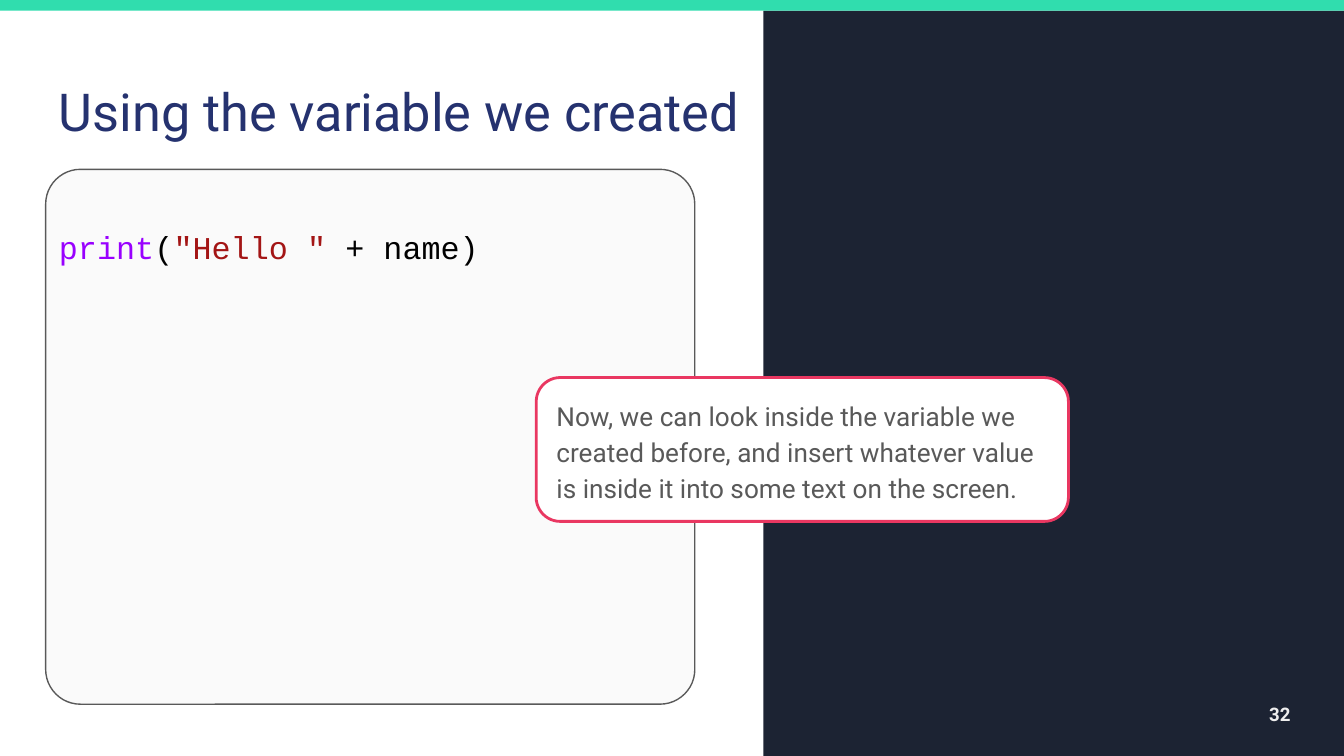
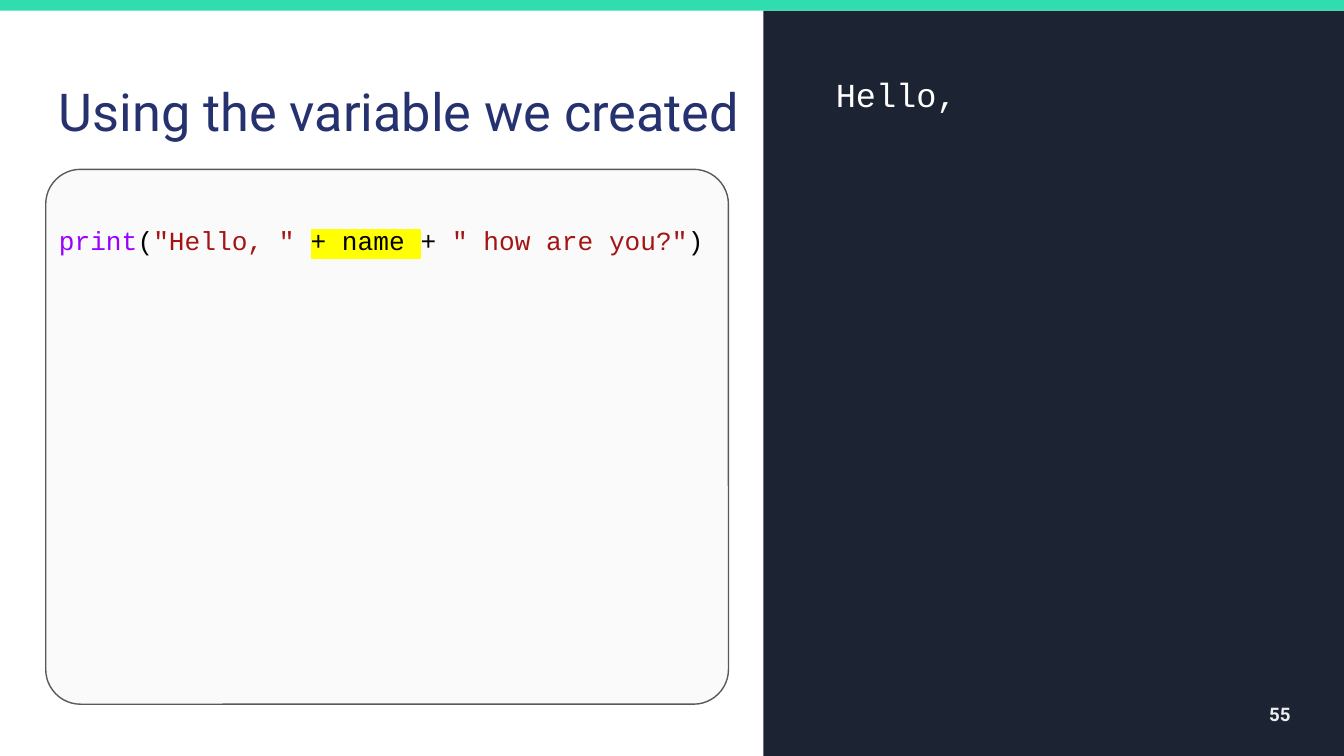
from lxml.etree import SubElement
from pptx import Presentation
from pptx.dml.color import RGBColor
from pptx.enum.shapes import MSO_SHAPE as SHAPE
from pptx.enum.text import MSO_ANCHOR as ANCHOR, PP_ALIGN as ALIGN
from pptx.oxml.ns import qn
from pptx.util import Inches, Pt

WHITE = RGBColor(0xFF, 0xFF, 0xFF)
BLACK = RGBColor(0x00, 0x00, 0x00)
NAVY = RGBColor(0x25, 0x32, 0x6F)
CONSOLE = RGBColor(0x1C, 0x23, 0x33)
MINT = RGBColor(0x30, 0xDD, 0xAE)
PALE = RGBColor(0xFA, 0xFA, 0xFA)
GREY = RGBColor(0x59, 0x59, 0x59)
LIGHT = RGBColor(0xEE, 0xEE, 0xEE)
PINK = RGBColor(0xE9, 0x37, 0x61)
PURPLE = RGBColor(0x99, 0x00, 0xFF)
STRING_RED = RGBColor(0xA3, 0x15, 0x15)
YELLOW = RGBColor(0xFF, 0xFF, 0x00)
SANS, MONO = "Roboto", "Courier New"
TITLE = "Using the variable we created"


def add_block(slide, box, fill, line=None, width=0.75, radius=None):
    """Add a flat rectangle, rounded when a radius is given."""
    kind = SHAPE.RECTANGLE if radius is None else SHAPE.ROUNDED_RECTANGLE
    block = slide.shapes.add_shape(kind, *map(Inches, box))
    block.shadow.inherit = False
    block.fill.solid()
    block.fill.fore_color.rgb = fill
    if radius is not None:
        block.adjustments[0] = radius
    if line is None:
        block.line.fill.background()
    else:
        block.line.color.rgb = line
        block.line.width = Pt(width)
    return block


def highlight(run, color):
    """Mark a coloured run with a background colour."""
    fill = run.font.fill._xPr.find(qn("a:solidFill"))
    mark = fill.makeelement(qn("a:highlight"), {})
    SubElement(mark, qn("a:srgbClr"), val=str(color))
    fill.addnext(mark)


def write(holder, parts, size, font, anchor=ANCHOR.TOP, align=ALIGN.LEFT, bold=False, top=0.1):
    """Fill a shape with one paragraph of (text, colour, highlight) parts."""
    frame = holder.text_frame
    frame.word_wrap = True
    frame.vertical_anchor = anchor
    frame.margin_left = frame.margin_right = frame.margin_bottom = Inches(0.1)
    frame.margin_top = Inches(top)
    paragraph = frame.paragraphs[0]
    paragraph.alignment = align
    for text, color, *mark in parts:
        run = paragraph.add_run()
        run.text = text
        run.font.size = Pt(size)
        run.font.name = font
        run.font.bold = bold
        run.font.color.rgb = color
        if mark:
            highlight(run, mark[0])
    return paragraph


def add_text(slide, box, parts, size, font, **style):
    """Add a wrapped text box."""
    return write(slide.shapes.add_textbox(*map(Inches, box)), parts, size, font, **style)


def add_base(deck, number):
    """Add a slide with the console panel, title, top band and page number."""
    slide = deck.slides.add_slide(deck.slide_layouts[6])
    slide.background.fill.solid()
    slide.background.fill.fore_color.rgb = WHITE
    add_block(slide, (5.68, 0.08, 4.33, 5.56), CONSOLE)
    add_text(slide, (0.34, 0.49, 5.34, 0.63), [(TITLE, NAVY)], 28, SANS)
    add_block(slide, (-0.01, 0, 10.02, 0.08), MINT)
    add_text(slide, (9.1, 5.1, 0.6, 0.43), [(number, LIGHT)], 10, SANS,
             anchor=ANCHOR.MIDDLE, align=ALIGN.RIGHT, bold=True)
    return slide


def add_code(slide, card_width, text_width, parts, size):
    """Add the code card with its line of code."""
    add_block(slide, (0.34, 1.26, card_width, 3.98), PALE, GREY, radius=0.065)
    add_text(slide, (0.34, 1.26, text_width, 3.97), parts, size, MONO, top=0.69)


def add_callout(slide, box, text):
    """Add a bordered explanation bubble."""
    callout = add_block(slide, box, WHITE, PINK, 1.5, 0.167)
    write(callout, [(text, GREY)], 14, SANS, anchor=ANCHOR.MIDDLE).line_spacing = 1.15


def main():
    """Build and save both slides."""
    deck = Presentation()
    deck.slide_width = Inches(10)
    deck.slide_height = deck.slide_width * 9 // 16

    greeting = add_base(deck, "32")
    add_code(greeting, 4.83, 4.99, [
        ("print", PURPLE), ("(", BLACK), ('"Hello " ', STRING_RED), ("+ name)", BLACK)], 17)
    add_callout(greeting, (3.99, 2.81, 3.96, 1.07),
                "Now, we can look inside the variable we created before, and insert "
                "whatever value is inside it into some text on the screen.")

    question = add_base(deck, "55")
    add_text(question, (6.12, 0.45, 3.58, 3.98), [("Hello,", WHITE)], 18, MONO)
    add_code(question, 5.08, 5.08, [
        ("print", PURPLE), ("(", BLACK), ('"Hello, " ', STRING_RED),
        ("+ name ", BLACK, YELLOW), ("+ ", BLACK),
        ('" how are you?"', STRING_RED), (")", BLACK)], 14)

    deck.save("out.pptx")


if __name__ == "__main__":
    main()
